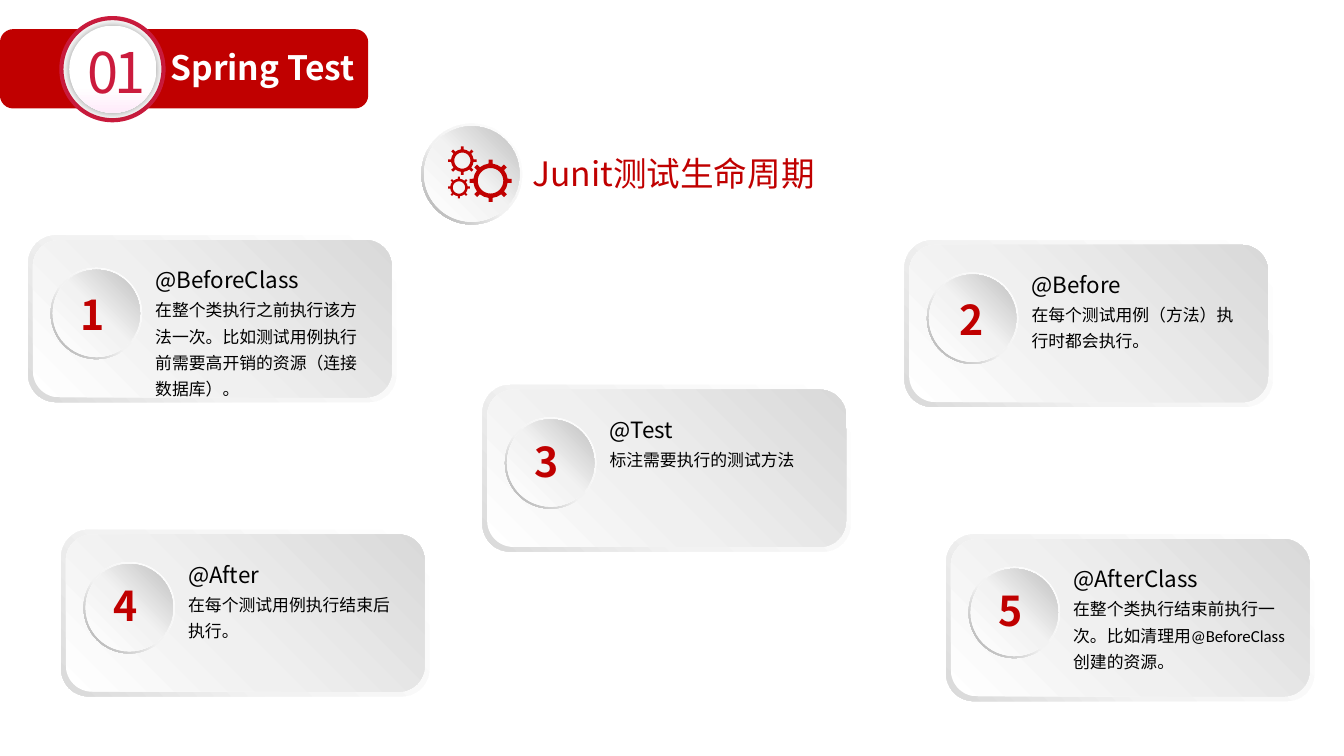
"""Build the slide on the JUnit test life cycle."""
from dataclasses import dataclass
from math import cos, pi, sin

from lxml.etree import SubElement
from pptx import Presentation
from pptx.dml.color import RGBColor
from pptx.enum.shapes import MSO_SHAPE
from pptx.enum.text import MSO_ANCHOR
from pptx.oxml.ns import qn
from pptx.shapes.autoshape import Shape
from pptx.slide import Slide
from pptx.util import Inches, Pt

COLUMNS = 100
SLIDE_WIDTH = Inches(10)
SLIDE_HEIGHT = SLIDE_WIDTH * 9 // 16
CELL = SLIDE_WIDTH / COLUMNS

RED = RGBColor(0xC0, 0x00, 0x00)
CRIMSON = RGBColor(0xCB, 0x1B, 0x3D)
WHITE = RGBColor(0xFF, 0xFF, 0xFF)
PINK = RGBColor(0xFF, 0xEB, 0xFA)
BLACK = RGBColor(0x00, 0x00, 0x00)
PALE = RGBColor(0xF2, 0xF2, 0xF2)
MIST = RGBColor(0xF0, 0xF0, 0xF0)
SILVER = RGBColor(0xD9, 0xD9, 0xD9)
GREY = RGBColor(0xBF, 0xBF, 0xBF)
DARK_GREY = RGBColor(0xA6, 0xA6, 0xA6)

HEAD_FONT = "Noto Sans CJK SC"
BODY_FONT = "Calibri"


@dataclass(frozen=True)
class Area:
    left: float
    top: float
    width: float
    height: float

    def emu(self) -> list[int]:
        return [cells(n) for n in (self.left, self.top, self.width, self.height)]


@dataclass(frozen=True)
class Gradient:
    stops: tuple[tuple[int, RGBColor], ...]
    angle: int


@dataclass(frozen=True)
class TextStyle:
    size: float
    color: RGBColor
    font: str = HEAD_FONT
    bold: bool = False
    line_spacing: float | None = None
    tracking: float = 0
    insets: tuple[float, float] = (0, 0)
    anchor: MSO_ANCHOR = MSO_ANCHOR.TOP


@dataclass(frozen=True)
class Card:
    left: float
    top: float
    number: str
    heading: str
    body: str
    number_left: float = 3.9
    number_top: float = 3.8


@dataclass(frozen=True)
class Gear:
    x: float
    y: float
    tip: float
    root: float
    hole: float


CARD_RIM = Gradient(((0, WHITE), (62, PALE), (100, SILVER)), 135)
CARD_FACE = Gradient(((0, WHITE), (42, MIST), (100, SILVER)), 315)
DISC_RIM = Gradient(((0, WHITE), (55, PALE), (100, DARK_GREY)), 135)
DISC_FACE = Gradient(((0, WHITE), (51, PALE), (100, GREY)), 315)
SEAL_FACE = Gradient(((0, WHITE), (70, WHITE), (100, PINK)), 90)

SECTION_NUMBER = TextStyle(30, CRIMSON, tracking=-2.2, insets=(1, 0.5))
SECTION_TITLE = TextStyle(18, WHITE, bold=True, insets=(1, 0.5))
TOPIC = TextStyle(18, RED, insets=(0.7, 0.4))
CARD_NUMBER = TextStyle(22, RED, bold=True)
CARD_HEADING = TextStyle(12, BLACK, line_spacing=0.7, anchor=MSO_ANCHOR.MIDDLE)
CARD_BODY = TextStyle(9, BLACK, BODY_FONT, line_spacing=1.3)

CARDS = (
    Card(2.1, 17.52, "1", "@BeforeClass",
         "在整个类执行之前执行该方法一次。比如测试用例执行前需要高开销的资源（连接数据库）。",
         number_top=4.05),
    Card(67.3, 17.88, "2", "@Before", "在每个测试用例（方法）执行时都会执行。",
         number_left=4.1, number_top=4.0),
    Card(35.9, 28.65, "3", "@Test", "标注需要执行的测试方法"),
    Card(4.55, 39.42, "4", "@After", "在每个测试用例执行结束后执行。"),
    Card(70.4, 39.77, "5", "@AfterClass",
         "在整个类执行结束前执行一次。比如清理用@BeforeClass创建的资源。"),
)
GEARS = (
    Gear(36.5, 13.45, 1.57, 1.28, 0.95),
    Gear(34.15, 13.95, 0.81, 0.65, 0.46),
    Gear(34.4, 11.95, 1.07, 0.84, 0.6),
)
TEETH = 8


def cells(count: float) -> int:
    return round(count * CELL)


def add_figure(page: Slide, kind: MSO_SHAPE, area: Area, fill: RGBColor | Gradient) -> Shape:
    figure = page.shapes.add_shape(kind, *area.emu())
    figure.shadow.inherit = False
    figure.line.fill.background()
    if isinstance(fill, Gradient):
        figure.fill.gradient()
        figure.fill.gradient_angle = (360 - fill.angle) % 360
        stop_list = figure.element.spPr.find(qn("a:gradFill")).find(qn("a:gsLst"))
        for stop in list(stop_list):
            stop_list.remove(stop)
        for share, color in fill.stops:
            stop = SubElement(stop_list, qn("a:gs"), pos=str(share * 1000))
            SubElement(stop, qn("a:srgbClr"), val=str(color))
    else:
        figure.fill.solid()
        figure.fill.fore_color.rgb = fill
    return figure


def add_text(page: Slide, area: Area, text: str, style: TextStyle) -> None:
    frame = page.shapes.add_textbox(*area.emu()).text_frame
    frame.word_wrap = True
    frame.vertical_anchor = style.anchor
    frame.margin_left = frame.margin_right = cells(style.insets[0])
    frame.margin_top = frame.margin_bottom = cells(style.insets[1])
    para = frame.paragraphs[0]
    para.text = text
    para.line_spacing = style.line_spacing
    para.font.name = style.font
    para.font.size = Pt(style.size)
    para.font.bold = style.bold
    para.font.color.rgb = style.color
    defaults = para._p.pPr.find(qn("a:defRPr"))
    SubElement(defaults, qn("a:ea"), typeface=HEAD_FONT)
    if style.tracking:
        defaults.set("spc", str(round(style.tracking * 100)))


def add_disc(page: Slide, left: float, top: float, size: float, rim: float) -> None:
    ring = add_figure(page, MSO_SHAPE.DONUT, Area(left, top, size, size), DISC_RIM)
    ring.adjustments[0] = 0.049
    face = size - 2 * rim
    add_figure(page, MSO_SHAPE.OVAL, Area(left + rim, top + rim, face, face), DISC_FACE)


def add_card(page: Slide, card: Card) -> None:
    left, top = card.left, card.top
    add_figure(page, MSO_SHAPE.ROUNDED_RECTANGLE, Area(left, top, 27.4, 12.4), CARD_RIM)
    add_figure(page, MSO_SHAPE.ROUNDED_RECTANGLE,
               Area(left + 0.35, top + 0.35, 26.7, 11.7), CARD_FACE)
    add_text(page, Area(left + 9.45, top + 2.4, 15.9, 2.3), card.heading, CARD_HEADING)
    add_text(page, Area(left + 9.45, top + 4.35, 15.9, 6.8), card.body, CARD_BODY)
    add_disc(page, left + 1.67, top + 2.4, 6.8, 0.15)
    add_text(page, Area(left + card.number_left, top + card.number_top, 2.4, 3.7),
             card.number, CARD_NUMBER)


def circle_point(gear: Gear, radius: float, turn: float) -> tuple[int, int]:
    angle = 2 * pi * turn
    return cells(gear.x + radius * cos(angle)), cells(gear.y + radius * sin(angle))


def gear_contours(gear: Gear) -> list[list[tuple[int, int]]]:
    corners = ((gear.root, -0.15), (gear.tip, -0.12), (gear.tip, 0.12),
               (gear.root, 0.15), (gear.root, 0.5))
    rim = [circle_point(gear, radius, (tooth + share) / TEETH)
           for tooth in range(TEETH) for radius, share in corners]
    hole = [circle_point(gear, gear.hole, -step / 32) for step in range(32)]
    return [rim, hole]


def add_gears(page: Slide) -> None:
    contours = [contour for gear in GEARS for contour in gear_contours(gear)]
    builder = page.shapes.build_freeform(*contours[0][0])
    for index, contour in enumerate(contours):
        if index:
            builder.move_to(*contour[0])
        builder.add_line_segments(contour[1:], close=True)
    gears = builder.convert_to_shape()
    gears.shadow.inherit = False
    gears.line.fill.background()
    gears.fill.solid()
    gears.fill.fore_color.rgb = RED


def add_section_header(page: Slide) -> None:
    add_figure(page, MSO_SHAPE.ROUNDED_RECTANGLE, Area(0, 2.17, 27.4, 5.9), RED)
    seal = add_figure(page, MSO_SHAPE.OVAL, Area(4.57, 1.35, 7.6, 7.6), WHITE)
    seal.line.color.rgb = CRIMSON
    seal.line.width = Pt(2.25)
    face = add_figure(page, MSO_SHAPE.OVAL, Area(5.15, 1.9, 6.5, 6.5), SEAL_FACE)
    effects = face.element.spPr.find(qn("a:effectLst"))
    shadow = SubElement(effects, qn("a:outerShdw"), blurRad=str(Pt(5)), dist="0", dir="0")
    color = SubElement(shadow, qn("a:srgbClr"), val=str(BLACK))
    SubElement(color, qn("a:alpha"), val="40000")
    add_text(page, Area(5.5, 2.3, 7.3, 6.1), "01", SECTION_NUMBER)
    add_text(page, Area(11.7, 3, 18, 4), "Spring Test", SECTION_TITLE)


def main() -> None:
    deck = Presentation()
    deck.slide_width, deck.slide_height = SLIDE_WIDTH, SLIDE_HEIGHT
    page = deck.slides.add_slide(deck.slide_layouts[6])
    add_section_header(page)
    add_text(page, Area(38.9, 11, 24, 3.8), "Junit测试生命周期", TOPIC)
    for card in CARDS:
        add_card(page, card)
    add_disc(page, 31.35, 9.2, 7.5, 0.2)
    add_gears(page)
    deck.save("out.pptx")


if __name__ == "__main__":
    main()
